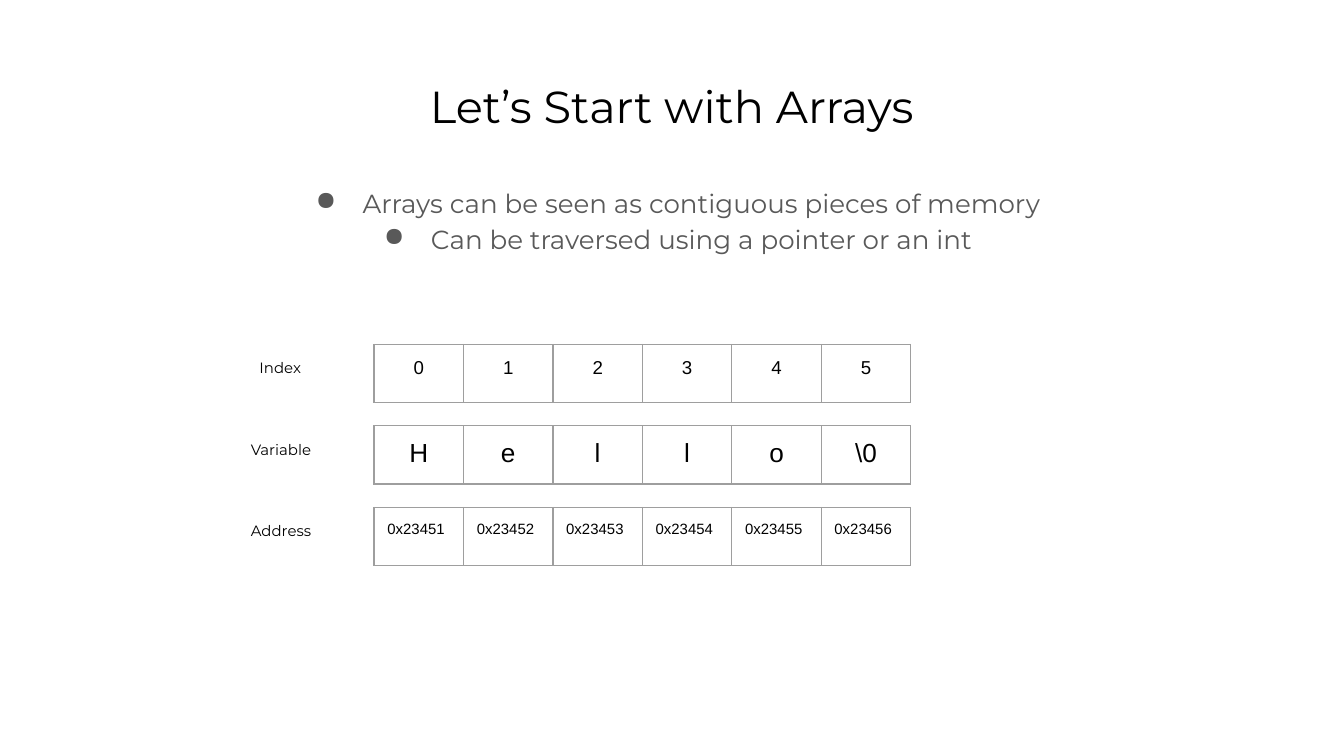
from lxml import etree
from pptx import Presentation
from pptx.dml.color import RGBColor
from pptx.enum.text import MSO_ANCHOR, PP_ALIGN
from pptx.oxml.ns import qn
from pptx.util import Cm, Pt

LEFT, CENTER = PP_ALIGN.LEFT, PP_ALIGN.CENTER
TOP = MSO_ANCHOR.TOP

TITLE = "Let’s Start with Arrays"
BULLETS = [
    "Arrays can be seen as contiguous pieces of memory ",
    "Can be traversed using a pointer or an int ",
]
ROWS = [
    {"label": "Index", "label_width": 1.45, "values": list("012345"),
     "size": 10, "align": CENTER},
    {"label": "Variable", "label_width": 1.78, "values": [*"Hello", "\\0"],
     "size": 14, "align": CENTER},
    {"label": "Address", "label_width": 1.78,
     "values": [f"0x{number}" for number in range(23451, 23457)],
     "size": 8, "align": LEFT},
]
THEME = {
    "heading_font": "Montserrat", "cell_font": "Arial",
    "ink": "000000", "muted": "595959", "border": "9E9E9E", "paper": "FFFFFF",
    "title_size": 24, "bullet_size": 14, "label_size": 8, "border_width": 0.75,
}

MARGIN, CONTENT_WIDTH, INSET = 0.86, 23.67, 0.25
TABLE_LEFT, TABLE_TOP, ROW_PITCH = 7.07, 6.51, 1.54
CELL_WIDTH, CELL_HEIGHT = 1.69, 1.1
LABEL_CENTER, LABEL_DROP, LABEL_HEIGHT = 5.38, 0.1, 0.89


def format_paragraph(para, font, size, color, align):
    para.alignment = align
    for span in para.runs:
        span.font.name = font
        span.font.size = Pt(size)
        span.font.color.rgb = RGBColor.from_string(color)


def set_insets(target):
    target.margin_left = target.margin_right = Cm(INSET)
    target.margin_top = target.margin_bottom = Cm(INSET)
    target.vertical_anchor = TOP


def place(shape, left, top, width, height):
    shape.left, shape.top = Cm(left), Cm(top)
    shape.width, shape.height = Cm(width), Cm(height)
    shape.text_frame.word_wrap = True
    set_insets(shape.text_frame)


def add_text_box(page, text, *position):
    box = page.shapes.add_textbox(0, 0, 0, 0)
    place(box, *position)
    box.text_frame.text = text
    return box.text_frame.paragraphs


def add_bullet(para):
    properties = para._p.get_or_add_pPr()
    properties.set("marL", str(Cm(1.27)))
    properties.set("indent", str(-Cm(0.89)))
    color = etree.SubElement(properties, qn("a:buClr"))
    etree.SubElement(color, qn("a:srgbClr"), val=THEME["muted"])
    etree.SubElement(properties, qn("a:buChar"), char="●")


def add_borders(cell):
    properties = cell._tc.get_or_add_tcPr()
    for position, side in enumerate(("a:lnL", "a:lnR", "a:lnT", "a:lnB")):
        line = etree.Element(qn(side), w=str(Pt(THEME["border_width"])))
        fill = etree.SubElement(line, qn("a:solidFill"))
        etree.SubElement(fill, qn("a:srgbClr"), val=THEME["border"])
        properties.insert(position, line)


def add_memory_row(page, row, top):
    values = row["values"]
    frame = page.shapes.add_table(
        1, len(values), Cm(TABLE_LEFT), Cm(top),
        Cm(CELL_WIDTH * len(values)), Cm(CELL_HEIGHT))
    table = frame.table
    table.first_row = table.horz_banding = False
    for column, value in enumerate(values):
        table.columns[column].width = Cm(CELL_WIDTH)
        cell = table.cell(0, column)
        cell.text = value
        cell.fill.background()
        set_insets(cell)
        add_borders(cell)
        format_paragraph(cell.text_frame.paragraphs[0], THEME["cell_font"],
                         row["size"], THEME["ink"], row["align"])

    width = row["label_width"]
    label = add_text_box(page, row["label"], LABEL_CENTER - width / 2,
                         top + LABEL_DROP, width, LABEL_HEIGHT)
    format_paragraph(label[0], THEME["heading_font"], THEME["label_size"],
                     THEME["ink"], LEFT)


def main():
    deck = Presentation()
    deck.slide_width, deck.slide_height = Cm(25.4), Cm(14.29)
    page = deck.slides.add_slide(deck.slide_layouts[5])
    page.background.fill.solid()
    page.background.fill.fore_color.rgb = RGBColor.from_string(THEME["paper"])

    title = page.shapes.title
    place(title, MARGIN, 1.24, CONTENT_WIDTH, 1.6)
    title.text_frame.text = TITLE
    format_paragraph(title.text_frame.paragraphs[0], THEME["heading_font"],
                     THEME["title_size"], THEME["ink"], CENTER)

    for para in add_text_box(page, "\n".join(BULLETS),
                             MARGIN, 3.2, CONTENT_WIDTH, 2.34):
        para.line_spacing = 1.15
        add_bullet(para)
        format_paragraph(para, THEME["heading_font"], THEME["bullet_size"],
                         THEME["muted"], CENTER)

    for index, row in enumerate(ROWS):
        add_memory_row(page, row, TABLE_TOP + index * ROW_PITCH)

    deck.save("out.pptx")


if __name__ == "__main__":
    main()
